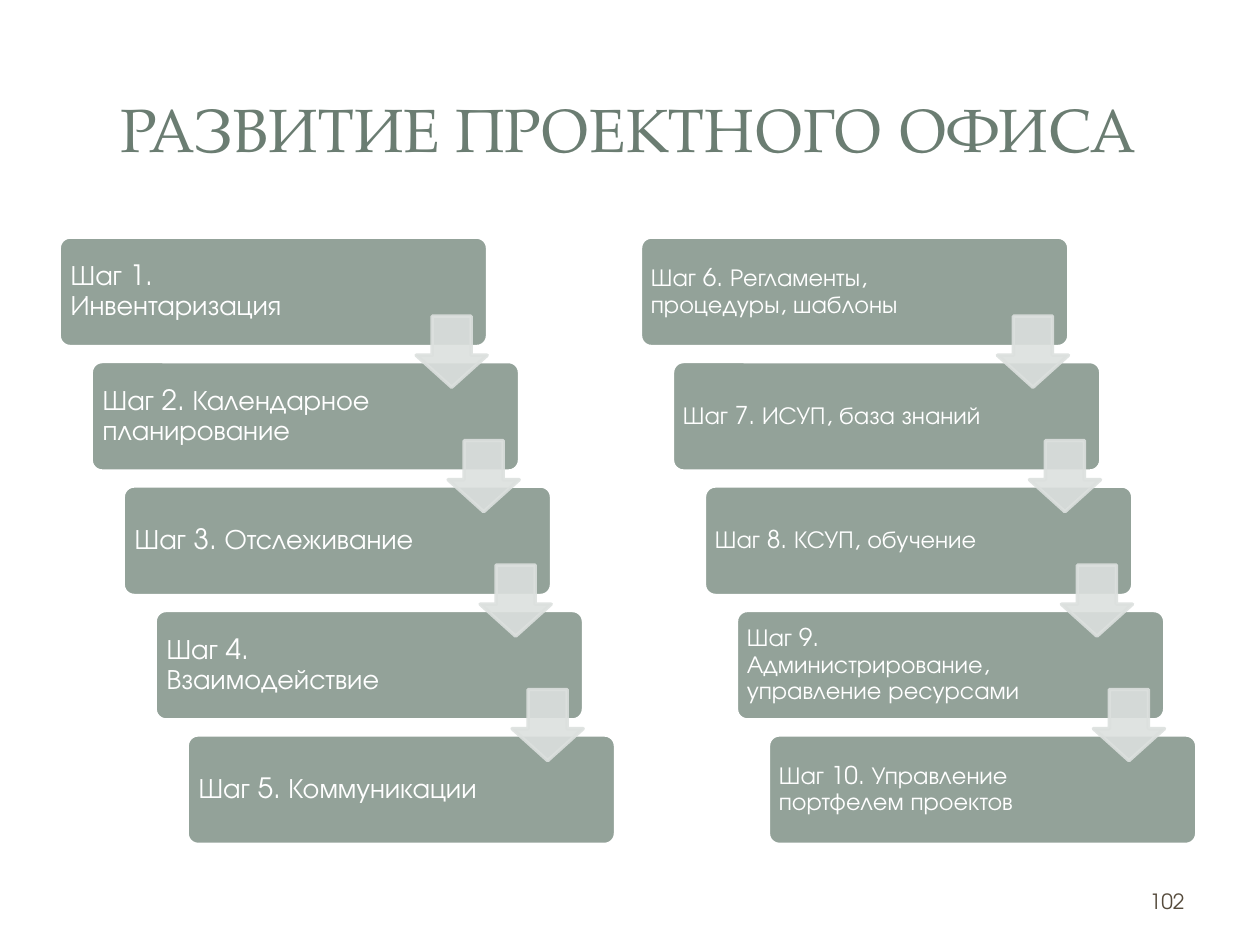
from lxml import etree
from pptx import Presentation
from pptx.dml.color import RGBColor
from pptx.enum.shapes import MSO_SHAPE as Preset
from pptx.enum.text import MSO_ANCHOR as Anchor, PP_ALIGN as Align
from pptx.oxml.ns import qn
from pptx.util import Pt

TITLE = "РАЗВИТИЕ ПРОЕКТНОГО ОФИСА"
PAGE_NUMBER = "102"
STAIRCASES = [
    {"left": 33.84, "size": 16, "inset": 4.8, "steps": [
        "Шаг 1. Инвентаризация",
        "Шаг 2. Календарное планирование",
        "Шаг 3. Отслеживание",
        "Шаг 4. Взаимодействие",
        "Шаг 5. Коммуникации",
    ]},
    {"left": 366, "size": 14, "inset": 4.2, "steps": [
        "Шаг 6. Регламенты, процедуры, шаблоны",
        "Шаг 7. ИСУП, база знаний",
        "Шаг 8. КСУП, обучение",
        "Шаг 9. Администрирование, управление ресурсами",
        "Шаг 10. Управление портфелем проектов",
    ]},
]
COLORS = {"title": "6B7D72", "step": "93A299", "arrow": "DCE0DE",
          "white": "FFFFFF", "number": "564B3C"}
HEADING_FONT, BODY_FONT = "TeX Gyre Pagella", "TeX Gyre Adventor"

TOP, STEP_WIDTH, STEP_HEIGHT = 135.5, 244.8, 62.6
SHIFT_X, SHIFT_Y = 18.28, 71.12
ARROW_X, ARROW_Y, ARROW_SIZE = 204, 45.2, 40.6
FIRST_TEXT_WIDTH, TEXT_WIDTH = 170, 182
CORNER_INSET = 1.8


def color(name):
    return RGBColor.from_string(COLORS[name])


def add_run(paragraph, text, font, size, color_name):
    run = paragraph.add_run()
    run.text = text
    run.font.name = font
    run.font.size = Pt(size)
    run.font.color.rgb = color(color_name)


def add_preset(shapes, preset, box, fill, line):
    shape = shapes.add_shape(preset, *map(Pt, box))
    shape.shadow.inherit = False
    shape.fill.solid()
    shape.fill.fore_color.rgb = color(fill)
    shape.line.color.rgb = color(line)
    shape.line.width = Pt(2)
    return shape


def add_step(shapes, text, left, top, size, inset, text_width):
    shape = add_preset(shapes, Preset.ROUNDED_RECTANGLE,
                       (left, top, STEP_WIDTH, STEP_HEIGHT), "step", "white")
    shape.adjustments[0] = 0.1
    frame = shape.text_frame
    frame.word_wrap = True
    frame.vertical_anchor = Anchor.MIDDLE
    frame.margin_left = frame.margin_top = frame.margin_bottom = Pt(inset)
    frame.margin_right = Pt(STEP_WIDTH - 2 * CORNER_INSET - text_width + inset)
    paragraph = frame.paragraphs[0]
    paragraph.alignment = Align.LEFT
    paragraph.line_spacing = 0.9
    add_run(paragraph, text, BODY_FONT, size, "white")


def add_arrow(shapes, left, top):
    arrow = add_preset(shapes, Preset.DOWN_ARROW,
                       (left, top, ARROW_SIZE, ARROW_SIZE), "arrow", "arrow")
    arrow.adjustments[0] = 0.55
    arrow.adjustments[1] = 0.45
    for element in arrow.element.spPr.iter(qn("a:srgbClr")):
        etree.SubElement(element, qn("a:alpha"), val="90000")


def add_staircase(slide, left, size, inset, steps):
    shapes = slide.shapes.add_group_shape().shapes
    corners = [(left + i * SHIFT_X, TOP + i * SHIFT_Y) for i in range(len(steps))]
    for i, (text, (x, y)) in enumerate(zip(steps, corners)):
        text_width = TEXT_WIDTH if i else FIRST_TEXT_WIDTH
        add_step(shapes, text, x, y, size, inset, text_width)
    for x, y in corners[:-1]:
        add_arrow(shapes, x + ARROW_X, y + ARROW_Y)


def add_title(slide):
    title = slide.shapes.title
    title.left, title.top, title.width, title.height = map(Pt, (33.84, 32.4, 650.2, 82))
    title.text_frame.vertical_anchor = Anchor.MIDDLE
    paragraph = title.text_frame.paragraphs[0]
    paragraph.alignment = Align.CENTER
    add_run(paragraph, TITLE, HEADING_FONT, 35, "title")


def add_page_number(slide):
    frame = slide.shapes.add_textbox(*map(Pt, (516, 500.4, 168, 28.8))).text_frame
    frame.word_wrap = True
    frame.vertical_anchor = Anchor.MIDDLE
    paragraph = frame.paragraphs[0]
    paragraph.alignment = Align.RIGHT
    add_run(paragraph, PAGE_NUMBER, BODY_FONT, 12, "number")


def main():
    presentation = Presentation()
    presentation.slide_width, presentation.slide_height = Pt(720), Pt(540)
    slide = presentation.slides.add_slide(presentation.slide_layouts[5])
    add_title(slide)
    for staircase in STAIRCASES:
        add_staircase(slide, **staircase)
    add_page_number(slide)
    presentation.save("out.pptx")


if __name__ == "__main__":
    main()
